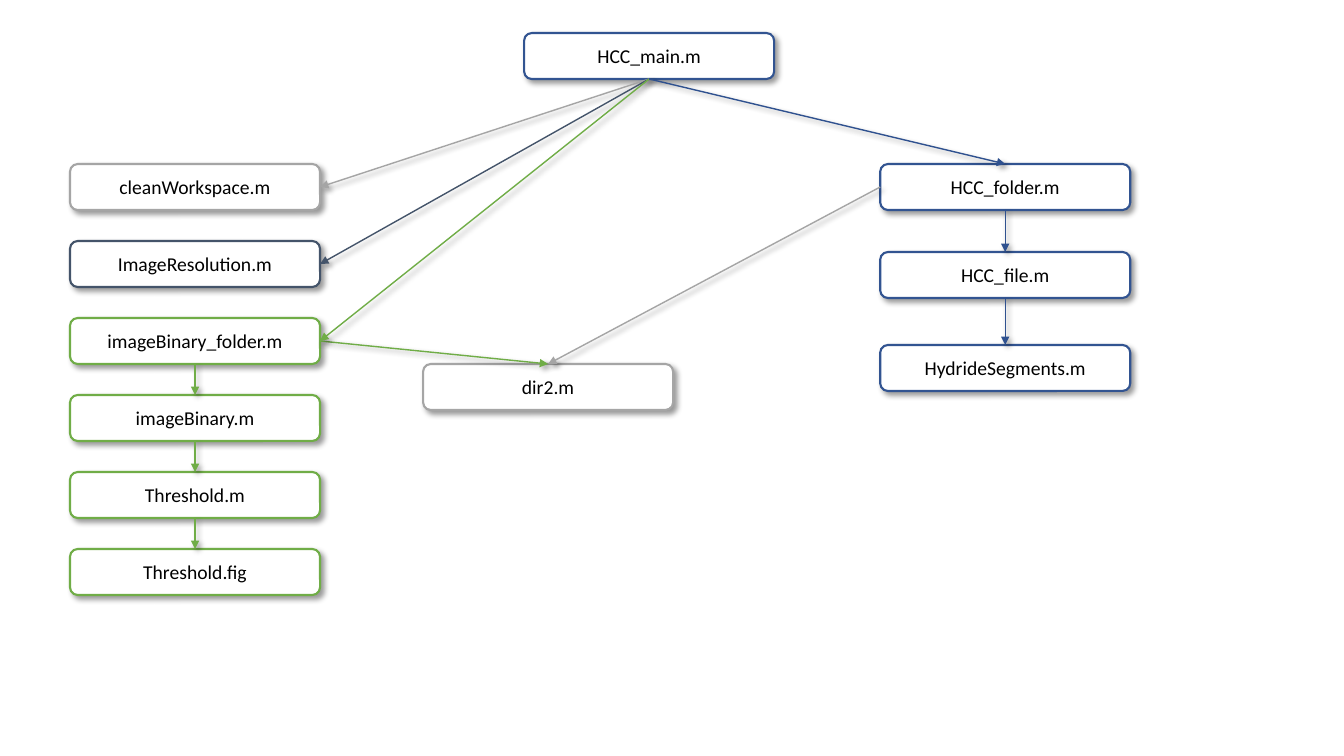
from lxml.etree import SubElement
from pptx import Presentation
from pptx.dml.color import RGBColor
from pptx.enum.shapes import MSO_CONNECTOR, MSO_SHAPE
from pptx.enum.text import MSO_ANCHOR, PP_ALIGN
from pptx.oxml.ns import qn
from pptx.util import Emu, Inches, Pt

COLORS = {
    "white": "FFFFFF", "black": "000000", "gray": "A5A5A5", "slate": "44546A",
    "green": "70AD47", "blue": "325491", "arrow blue": "2F518F",
}

# Content: files of the program and the calls between them
UTILITY_FILES = [
    ("cleanWorkspace.m", "gray"),
    ("ImageResolution.m", "slate"),
    ("imageBinary_folder.m", "green"),
    ("imageBinary.m", "green"),
    ("Threshold.m", "green"),
    ("Threshold.fig", "green"),
]
HYDRIDE_FILES = [("HCC_folder.m", 164), ("HCC_file.m", 252), ("HydrideSegments.m", 345)]
CALLS = [
    ("imageBinary_folder.m", "right", "dir2.m", "top", "green"),
    ("HCC_folder.m", "left", "dir2.m", "top", "gray"),
    ("imageBinary_folder.m", "bottom", "imageBinary.m", "top", "green"),
    ("imageBinary.m", "bottom", "Threshold.m", "top", "green"),
    ("Threshold.m", "bottom", "Threshold.fig", "top", "green"),
    ("HCC_main.m", "bottom", "cleanWorkspace.m", "right", "gray"),
    ("HCC_main.m", "bottom", "ImageResolution.m", "right", "slate"),
    ("HCC_main.m", "bottom", "imageBinary_folder.m", "right", "green"),
    ("HCC_main.m", "bottom", "HCC_folder.m", "top", "arrow blue"),
    ("HCC_folder.m", "bottom", "HCC_file.m", "top", "arrow blue"),
    ("HCC_file.m", "bottom", "HydrideSegments.m", "top", "arrow blue"),
]

# Layout in pixels
BOX_WIDTH, BOX_HEIGHT = 250, 46
UTILITY_LEFT, UTILITY_TOP, UTILITY_STEP = 70, 164, 77
HYDRIDE_LEFT = 880
SITES = {"top": 0, "left": 1, "bottom": 2, "right": 3}


def px(length):
    return Emu(round(length * 914400 / 100.8))


def color(name):
    return RGBColor.from_string(COLORS[name])


def add_shadow(shape):
    effects = SubElement(shape._element.spPr, qn("a:effectLst"))
    shadow = SubElement(effects, qn("a:outerShdw"), blurRad=str(Pt(4)),
                        dist=str(Pt(3)), dir=str(45 * 60000),
                        algn="tl", rotWithShape="0")
    shade = SubElement(shadow, qn("a:srgbClr"), val=COLORS["black"])
    SubElement(shade, qn("a:alpha"), val="40000")


def add_box(slide, name, left, top, line_color):
    shape = slide.shapes.add_shape(MSO_SHAPE.ROUNDED_RECTANGLE, px(left), px(top),
                                   px(BOX_WIDTH), px(BOX_HEIGHT))
    shape.fill.solid()
    shape.fill.fore_color.rgb = color("white")
    shape.line.color.rgb = color(line_color)
    shape.line.width = Pt(1.5)
    add_shadow(shape)
    shape.text_frame.text = name
    shape.text_frame.vertical_anchor = MSO_ANCHOR.MIDDLE
    paragraph = shape.text_frame.paragraphs[0]
    paragraph.alignment = PP_ALIGN.CENTER
    paragraph.font.name = "Calibri"
    paragraph.font.size = Pt(14)
    paragraph.font.color.rgb = color("black")
    return shape


def add_arrow(slide, caller, start, callee, end, line_color):
    connector = slide.shapes.add_connector(MSO_CONNECTOR.STRAIGHT, 0, 0, 0, 0)
    connector.begin_connect(caller, SITES[start])
    connector.end_connect(callee, SITES[end])
    connector.line.color.rgb = color(line_color)
    connector.line.width = Pt(1)
    SubElement(connector.line._get_or_add_ln(), qn("a:tailEnd"), type="triangle")
    add_shadow(connector)


presentation = Presentation()
presentation.slide_width, presentation.slide_height = Inches(13.33), Inches(7.5)
slide = presentation.slides.add_slide(presentation.slide_layouts[6])

# File boxes
places = [("HCC_main.m", 524, 33, "blue"), ("dir2.m", 423, 364, "gray")]
places += [(name, UTILITY_LEFT, UTILITY_TOP + row * UTILITY_STEP, line_color)
           for row, (name, line_color) in enumerate(UTILITY_FILES)]
places += [(name, HYDRIDE_LEFT, top, "blue") for name, top in HYDRIDE_FILES]
boxes = {place[0]: add_box(slide, *place) for place in places}

# Call arrows
for caller, start, callee, end, line_color in CALLS:
    add_arrow(slide, boxes[caller], start, boxes[callee], end, line_color)

presentation.save("out.pptx")
